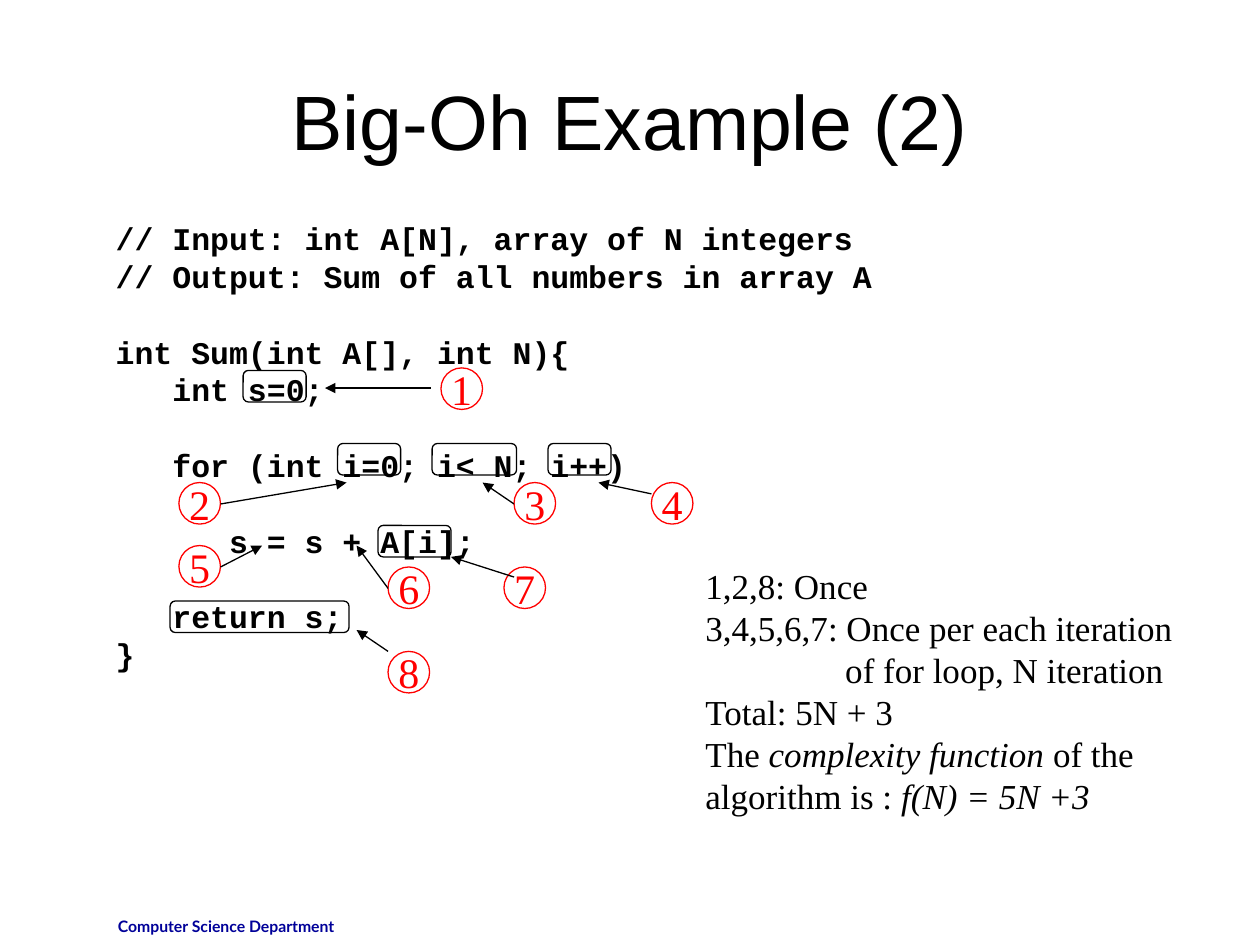
"""Build the Big-Oh example slide with its annotated summing loop."""
import pptx
import pptx.dml.color
import pptx.enum.shapes
import pptx.enum.text
import pptx.oxml
import pptx.oxml.ns
import pptx.util

Inches = pptx.util.Inches
Pt = pptx.util.Pt
RGBColor = pptx.dml.color.RGBColor
Align = pptx.enum.text.PP_ALIGN
Shape = pptx.enum.shapes.MSO_SHAPE

BLACK = RGBColor(0x00, 0x00, 0x00)
RED = RGBColor(0xFF, 0x00, 0x00)
NAVY = RGBColor(0x00, 0x00, 0x99)
MARKER_SIZE = 0.33

presentation = pptx.Presentation()
presentation.slide_width = Inches(10)
presentation.slide_height = Inches(7.5)
slide = presentation.slides.add_slide(presentation.slide_layouts[6])


def write(shape, lines, font, size, color, align=Align.LEFT, bold=False, wrap=False,
          top=0.05, spacing=None):
    frame = shape.text_frame
    frame.word_wrap = wrap
    frame.margin_top = Inches(top)
    gap = 0
    first = True
    for runs in lines:
        if not runs:
            gap += spacing
            continue
        paragraph = frame.paragraphs[0] if first else frame.add_paragraph()
        first = False
        paragraph.alignment = align
        if spacing:
            paragraph.line_spacing = Pt(spacing)
        if gap:
            paragraph.space_before = Pt(gap)
            gap = 0
        for text, italic in runs:
            run = paragraph.add_run()
            run.text = text
            run.font.name = font
            run.font.size = Pt(size)
            run.font.bold = bold
            run.font.italic = italic
            run.font.color.rgb = color


def add_outline(kind, left, top, width, height, color):
    shape = slide.shapes.add_shape(kind, Inches(left), Inches(top), Inches(width), Inches(height))
    shape.shadow.inherit = False
    shape.fill.background()
    shape.line.color.rgb = color
    shape.line.width = Pt(0.75)
    return shape


footer = slide.shapes.add_textbox(Inches(0.42), Inches(7.23), Inches(2.33), Inches(0.27))
write(footer, [[("Computer Science Department", False)]], "Lato", 9, NAVY, Align.RIGHT,
      bold=True, wrap=True)

title = slide.shapes.add_textbox(Inches(0.5), Inches(0.3), Inches(9), Inches(1.25))
title.text_frame.vertical_anchor = pptx.enum.text.MSO_ANCHOR.MIDDLE
write(title, [[("Big-Oh Example (2)", False)]], "Arial", 44, BLACK, Align.CENTER,
      wrap=True, top=0.1)

code_lines = [
    "// Input: int A[N], array of N integers",
    "// Output: Sum of all numbers in array A",
    "",
    "int Sum(int A[], int N){",
    "   int s=0;",
    "",
    "   for (int i=0; i< N; i++)",
    "",
    "      s = s + A[i];",
    "",
    "   return s;",
    "}",
]
code = slide.shapes.add_textbox(Inches(0.82), Inches(1.67), Inches(6.2), Inches(4))
write(code, [[(line, False)] if line else [] for line in code_lines], "Courier New", 18,
      BLACK, bold=True, top=0.07, spacing=21.6)

code_boxes = [
    (1.35, 4.77, 1.42),
    (1.93, 2.94, 0.5),
    (2.68, 3.52, 0.5),
    (3, 4.17, 0.58),
    (3.43, 3.52, 0.67),
    (4.35, 3.52, 0.5),
]
for left, top, width in code_boxes:
    add_outline(Shape.ROUNDED_RECTANGLE, left, top, width, 0.25, BLACK)

marker_positions = [
    (3.5, 2.92), (1.42, 3.83), (4.08, 3.83), (5.17, 3.83),
    (1.42, 4.33), (3.08, 4.5), (4, 4.5), (3.08, 5.17),
]
for number, (left, top) in enumerate(marker_positions, start=1):
    marker = add_outline(Shape.OVAL, left, top, MARKER_SIZE, MARKER_SIZE, RED)
    marker.text_frame.vertical_anchor = pptx.enum.text.MSO_ANCHOR.MIDDLE
    write(marker, [[(str(number), False)]], "Times New Roman", 24, RED, Align.CENTER)

arrows = [
    (3.42, 3.08, 2.58, 3.08),
    (1.75, 4, 2.75, 3.83),
    (4.08, 4, 3.83, 3.83),
    (5.17, 3.92, 4.75, 3.83),
    (1.75, 4.5, 2.08, 4.33),
    (3.08, 4.67, 2.83, 4.33),
    (4.08, 4.58, 3.58, 4.42),
    (3.08, 5.17, 2.83, 5),
]
for arrow in arrows:
    connector = slide.shapes.add_connector(
        pptx.enum.shapes.MSO_CONNECTOR.STRAIGHT, *[Inches(value) for value in arrow])
    connector.line.color.rgb = BLACK
    connector.line.width = Pt(0.75)
    head = pptx.oxml.parse_xml(
        f'<a:tailEnd {pptx.oxml.ns.nsdecls("a")} type="triangle"/>')
    connector.line._get_or_add_ln().append(head)
    connector._element.spPr.append(
        pptx.oxml.parse_xml(f'<a:effectLst {pptx.oxml.ns.nsdecls("a")}/>'))

notes_lines = [
    [("1,2,8: Once", False)],
    [("3,4,5,6,7: Once per each iteration", False)],
    [("of for loop, N iteration", False)],
    [("Total: 5N + 3", False)],
    [("The ", False), ("complexity function", True), (" of the", False)],
    [("algorithm is : ", False), ("f(N) = 5N +3", True)],
]
analysis = slide.shapes.add_textbox(Inches(5.5), Inches(4.42), Inches(3.91), Inches(2.1))
write(analysis, notes_lines, "Times New Roman", 20, BLACK, top=0.06, spacing=24)
continuation = analysis.text_frame.paragraphs[2]
continuation._p.get_or_add_pPr().set("marL", str(Inches(1.11)))

presentation.save("out.pptx")
